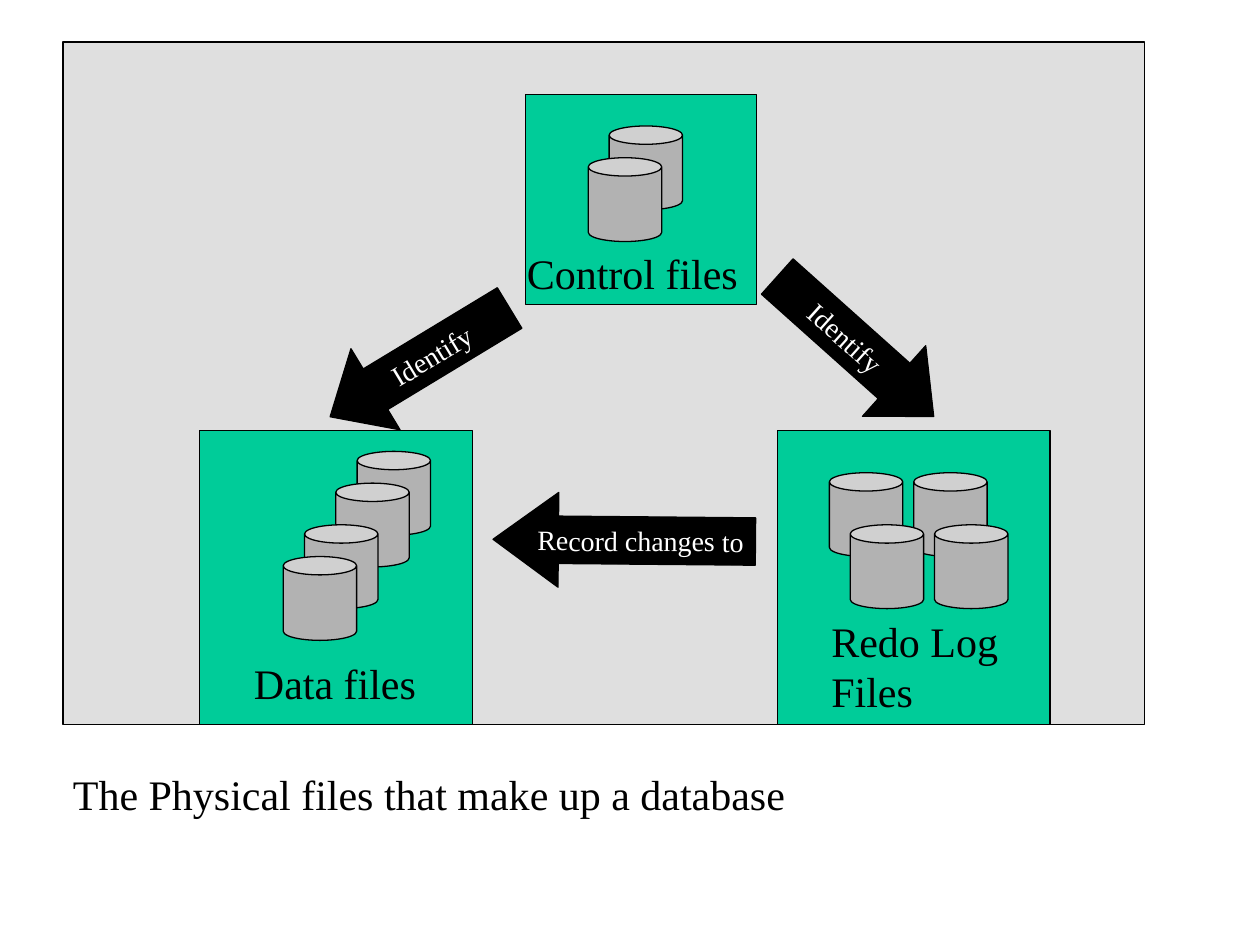
import dataclasses
import typing

import lxml.etree
import pptx
import pptx.dml.color
import pptx.enum.shapes
import pptx.enum.text
import pptx.oxml.ns
import pptx.util

Cm = pptx.util.Cm
Shapes = pptx.enum.shapes.MSO_SHAPE
Align = pptx.enum.text.PP_ALIGN
Anchor = pptx.enum.text.MSO_ANCHOR


@dataclasses.dataclass(frozen=True)
class Theme:
    font: str = "Times New Roman"
    label_size: int = 24
    arrow_size: int = 16
    line_width: float = 0.75
    ink: str = "000000"
    arrow_text: str = "FFFFFF"
    panel: str = "C0C0C0"
    panel_opacity: int = 50
    group: str = "00CC99"
    disk: str = "B2B2B2"


class Box(typing.NamedTuple):
    """Left, top, width and height in centimetres."""
    left: float
    top: float
    width: float
    height: float

    def lengths(self) -> list:
        return [Cm(value) for value in self]


@dataclasses.dataclass(frozen=True)
class FileGroup:
    box: Box
    disks: tuple  # left and top of each disk, from back to front
    label: str
    label_box: Box


@dataclasses.dataclass(frozen=True)
class Arrow:
    box: Box
    text: str
    kind: typing.Any
    rotation: float
    head_length: float


THEME = Theme()
DISK_WIDTH, DISK_HEIGHT = 1.48, 1.69
PANEL = Box(1.27, 0.85, 21.8, 13.76)
CAPTION = "The Physical files that make up a database"
CAPTION_BOX = Box(1.22, 15.37, 15.2, 1.28)

GROUPS = (
    FileGroup(Box(10.59, 1.91, 4.66, 4.23),
              ((12.28, 2.54), (11.86, 3.18)),
              "Control files", Box(10.37, 4.87, 5.05, 1.28)),
    FileGroup(Box(4.02, 8.68, 5.5, 5.93),
              ((7.2, 9.1), (6.77, 9.74), (6.14, 10.58), (5.71, 11.22)),
              "Data files", Box(4.87, 13.13, 4.05, 1.28)),
    FileGroup(Box(15.67, 8.68, 5.5, 5.93),
              ((16.72, 9.53), (18.42, 9.53), (17.14, 10.58), (18.84, 10.58)),
              "Redo Log\nFiles", Box(16.51, 12.28, 4.15, 2.29)),
)

ARROWS = (
    Arrow(Box(6.35, 6.35, 4.23, 1.91), "Identify", Shapes.LEFT_ARROW, -31.2, 0.56),
    Arrow(Box(15.13, 6.03, 4.23, 1.91), "Identify", Shapes.RIGHT_ARROW, 41.8, 0.56),
    Arrow(Box(9.94, 9.94, 5.29, 1.91), "Record changes to", Shapes.LEFT_ARROW, 0.5, 0.69),
)


def rgb(color: str) -> pptx.dml.color.RGBColor:
    return pptx.dml.color.RGBColor.from_string(color)


def write_text(shape, text: str, *, size: int, color: str, wrap: bool,
               align=Align.LEFT, anchor=Anchor.TOP) -> None:
    frame = shape.text_frame
    frame.text = text
    frame.word_wrap = wrap
    frame.auto_size = pptx.enum.text.MSO_AUTO_SIZE.NONE
    frame.vertical_anchor = anchor
    for paragraph in frame.paragraphs:
        paragraph.alignment = align
        paragraph.font.name = THEME.font
        paragraph.font.size = pptx.util.Pt(size)
        paragraph.font.color.rgb = rgb(color)


def add_outlined(slide, kind, box: Box, fill: str):
    shape = slide.shapes.add_shape(kind, *box.lengths())
    shape.shadow.inherit = False
    shape.fill.solid()
    shape.fill.fore_color.rgb = rgb(fill)
    shape.line.color.rgb = rgb(THEME.ink)
    shape.line.width = pptx.util.Pt(THEME.line_width)
    return shape


def set_opacity(shape, percent: int) -> None:
    color = shape.fill._xPr.find(".//" + pptx.oxml.ns.qn("a:srgbClr"))
    alpha = lxml.etree.SubElement(color, pptx.oxml.ns.qn("a:alpha"))
    alpha.set("val", str(percent * 1000))


def add_label(slide, text: str, box: Box) -> None:
    label = slide.shapes.add_textbox(*box.lengths())
    write_text(label, text, size=THEME.label_size, color=THEME.ink, wrap=True)


def add_file_group(slide, group: FileGroup) -> None:
    add_outlined(slide, Shapes.RECTANGLE, group.box, THEME.group)
    for left, top in group.disks:
        disk_box = Box(left, top, DISK_WIDTH, DISK_HEIGHT)
        disk = add_outlined(slide, Shapes.CAN, disk_box, THEME.disk)
        disk.adjustments[0] = 0.25
    add_label(slide, group.label, group.label_box)


def add_arrow(slide, arrow: Arrow) -> None:
    shape = add_outlined(slide, arrow.kind, arrow.box, THEME.ink)
    shape.adjustments[0] = 0.5
    shape.adjustments[1] = arrow.head_length
    shape.rotation = arrow.rotation
    write_text(shape, arrow.text, size=THEME.arrow_size, color=THEME.arrow_text,
               wrap=False, align=Align.CENTER, anchor=Anchor.MIDDLE)


def main() -> None:
    presentation = pptx.Presentation()
    presentation.slide_width, presentation.slide_height = Cm(25.4), Cm(19.05)
    blank_layout = presentation.slide_layouts.get_by_name("Blank")
    slide = presentation.slides.add_slide(blank_layout)

    panel = add_outlined(slide, Shapes.RECTANGLE, PANEL, THEME.panel)
    set_opacity(panel, THEME.panel_opacity)
    add_label(slide, CAPTION, CAPTION_BOX)
    for group in GROUPS:
        add_file_group(slide, group)
    for arrow in ARROWS:
        add_arrow(slide, arrow)

    presentation.save("out.pptx")


if __name__ == "__main__":
    main()
